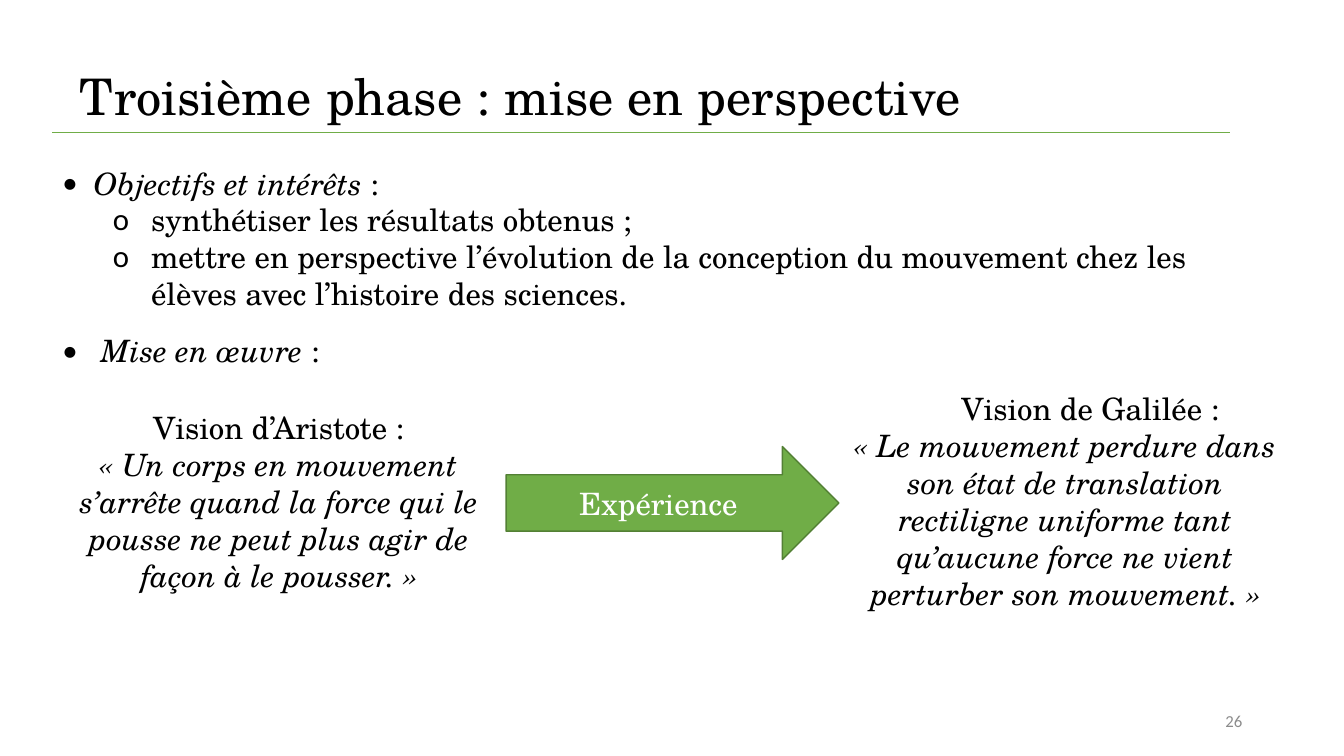
import pptx
import pptx.dml.color
import pptx.enum.shapes
import pptx.enum.text
import pptx.oxml.ns
import pptx.util
from lxml import etree

Inches = pptx.util.Inches
Pt = pptx.util.Pt
RGBColor = pptx.dml.color.RGBColor
ALIGN = pptx.enum.text.PP_ALIGN
ANCHOR = pptx.enum.text.MSO_ANCHOR
AUTO_SIZE = pptx.enum.text.MSO_AUTO_SIZE
SHAPE = pptx.enum.shapes.MSO_SHAPE
CONNECTOR = pptx.enum.shapes.MSO_CONNECTOR
qn = pptx.oxml.ns.qn

BLACK = RGBColor(0x00, 0x00, 0x00)
WHITE = RGBColor(0xFF, 0xFF, 0xFF)
GREY = RGBColor(0x8C, 0x8C, 0x8C)
GREEN = RGBColor(0x70, 0xAD, 0x47)
DARK_GREEN = RGBColor(0x53, 0x80, 0x35)


def assign(target, values):
    for name, value in values.items():
        setattr(target, name, value)


class SlideBuilder:
    """Holds the text style and the current page."""

    style = {"name": "TeX Gyre Schola", "size": Pt(22), "italic": False}

    def __init__(self, page):
        self.page = page

    def paragraph(self, box, spans, first=False, color=BLACK, font=None,
                  bullet=None, margin=0, hanging=0, **layout):
        """Add one paragraph; spans are (words, italic) pairs."""
        frame = box.text_frame
        para = frame.paragraphs[0] if first else frame.add_paragraph()
        properties = para._p.get_or_add_pPr()
        properties.set("marL", str(Inches(margin)))
        properties.set("indent", str(-Inches(hanging)))
        if bullet:
            etree.SubElement(properties, qn("a:buFont"), typeface="Calibri")
            etree.SubElement(properties, qn("a:buChar"), char=bullet)
        else:
            etree.SubElement(properties, qn("a:buNone"))
        assign(para, layout)
        for words, italic in spans:
            span = para.add_run()
            span.text = words
            assign(span.font, {**self.style, "italic": italic, **(font or {})})
            span.font.color.rgb = color

    def text(self, left, top, width, height, paragraphs, anchor=ANCHOR.TOP,
             auto_size=AUTO_SIZE.NONE):
        box = self.page.shapes.add_textbox(
            Inches(left), Inches(top), Inches(width), Inches(height))
        assign(box.text_frame, {"word_wrap": True, "auto_size": auto_size,
                                "vertical_anchor": anchor})
        for index, paragraph in enumerate(paragraphs):
            self.paragraph(box, first=index == 0, **paragraph)

    def rule(self, left, right, top):
        line = self.page.shapes.add_connector(
            CONNECTOR.STRAIGHT, Inches(left), Inches(top), Inches(right), Inches(top))
        line.line.color.rgb = GREEN
        line.line.width = Pt(0.5)
        etree.SubElement(line._element.spPr, qn("a:effectLst"))

    def arrow(self, left, top, width, height, words):
        arrow = self.page.shapes.add_shape(
            SHAPE.RIGHT_ARROW, Inches(left), Inches(top), Inches(width), Inches(height))
        arrow.shadow.inherit = False
        arrow.fill.solid()
        arrow.fill.fore_color.rgb = GREEN
        arrow.line.color.rgb = DARK_GREEN
        arrow.line.width = Pt(1)
        arrow.text_frame.vertical_anchor = ANCHOR.MIDDLE
        self.paragraph(arrow, [(words, False)], first=True, color=WHITE,
                       alignment=ALIGN.CENTER)

    def vision(self, left, top, height, heading, quote, heading_margin=0):
        self.text(left, top, 4.49, height, [
            {"spans": [(heading, False)], "margin": heading_margin,
             "alignment": ALIGN.CENTER},
            {"spans": [(quote, True)], "alignment": ALIGN.CENTER},
        ], auto_size=AUTO_SIZE.SHAPE_TO_FIT_TEXT)


def main():
    deck = pptx.Presentation()
    deck.slide_width = Inches(13.33)
    deck.slide_height = Inches(7.5)
    builder = SlideBuilder(deck.slides.add_slide(deck.slide_layouts[6]))

    # Title and rule
    builder.text(0.69, 0.42, 10.95, 1.12, [
        {"spans": [("Troisième phase : mise en perspective", False)],
         "font": {"size": Pt(36)}, "line_spacing": 0.9},
    ], anchor=ANCHOR.MIDDLE)
    builder.rule(0.52, 12.2, 1.31)

    # Aims and method
    sub_item = {"bullet": "o", "margin": 0.88, "hanging": 0.38, "level": 1}
    builder.text(0.52, 1.58, 12.12, 2.15, [
        {"spans": [("Objectifs et intérêts ", True), (":", False)],
         "bullet": "•", "margin": 0.31, "hanging": 0.31},
        {"spans": [("synthétiser les résultats obtenus ;", False)], **sub_item},
        {"spans": [("mettre en perspective l’évolution de la conception du mouvement "
                    "chez les élèves avec l’histoire des sciences.", False)], **sub_item},
        {"spans": [("Mise en œuvre ", True), (":", False)], "bullet": "•",
         "margin": 0.38, "hanging": 0.38, "level": 1, "space_before": Pt(14.4)},
    ], auto_size=AUTO_SIZE.SHAPE_TO_FIT_TEXT)

    # From Aristotle to Galileo
    builder.vision(
        0.52, 4.01, 1.95, "Vision d’Aristote :",
        "« Un corps en mouvement s’arrête quand la force qui le pousse "
        "ne peut plus agir de façon à le pousser. »")
    builder.vision(
        8.32, 3.82, 2.32, "Vision de Galilée :",
        "« Le mouvement perdure dans son état de translation rectiligne uniforme "
        "tant qu’aucune force ne vient perturber son mouvement. »",
        heading_margin=0.5)
    builder.arrow(5.02, 4.43, 3.3, 1.12, "Expérience")

    # Page number
    builder.text(9.42, 6.95, 3, 0.4, [
        {"spans": [("26", False)], "color": GREY, "alignment": ALIGN.RIGHT,
         "font": {"name": "Calibri", "size": Pt(12)}},
    ], anchor=ANCHOR.MIDDLE)

    deck.save("out.pptx")


if __name__ == "__main__":
    main()
